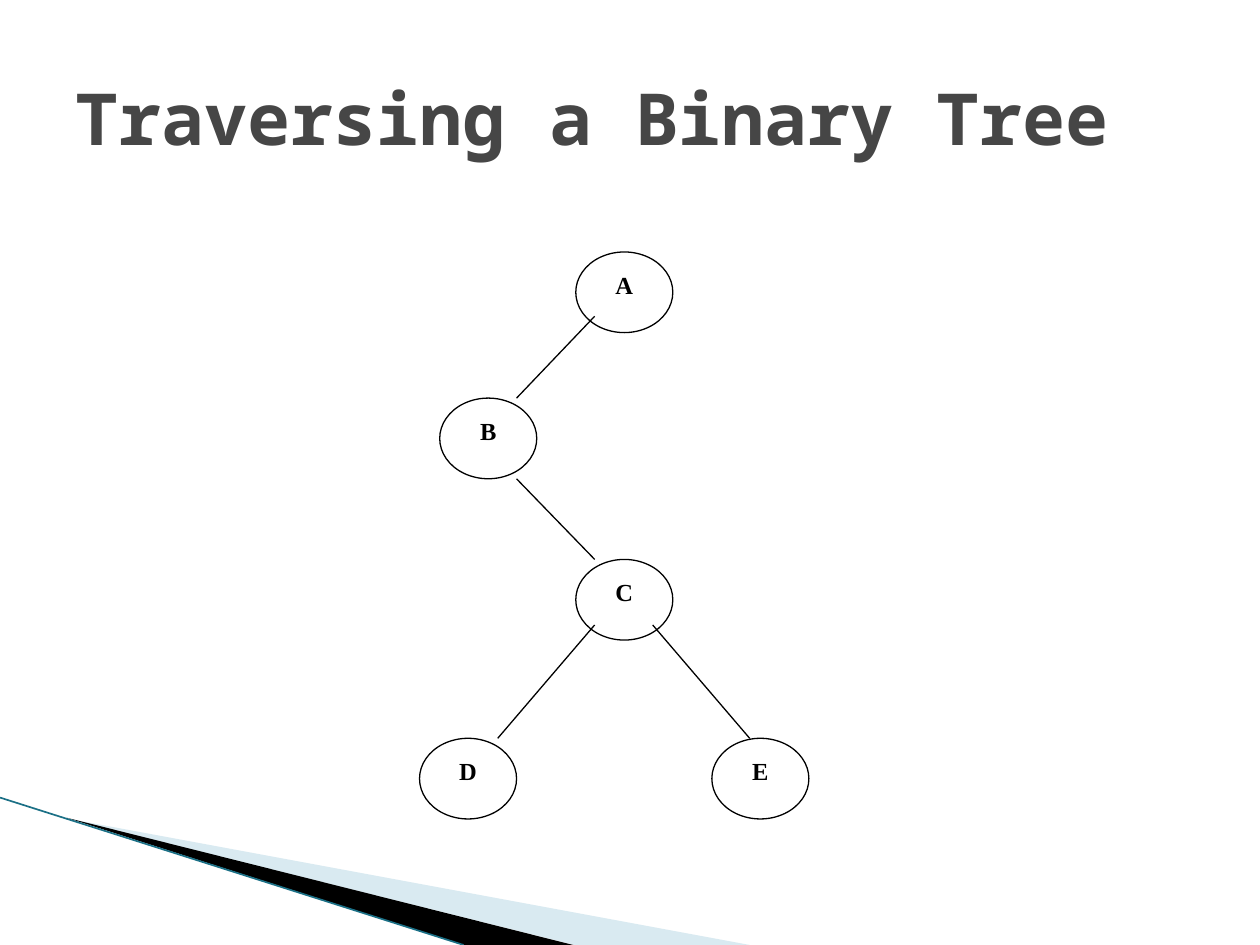
from lxml.etree import SubElement
from pptx import Presentation
from pptx.dml.color import RGBColor
from pptx.enum.shapes import MSO_CONNECTOR, MSO_SHAPE
from pptx.enum.text import MSO_ANCHOR, PP_ALIGN
from pptx.oxml.ns import qn
from pptx.util import Inches, Pt

COLORS = {
    "title": "464646",
    "ink": "000000",
    "paper": "FFFFFF",
    "pale": "A0CBDC",
    "teal": "1B7086",
}


def write_text(shape, text, font, size, color, align, anchor):
    frame = shape.text_frame
    frame.word_wrap = True
    frame.vertical_anchor = anchor
    para = frame.paragraphs[0]
    para.alignment = align
    span = para.add_run()
    span.text = text
    span.font.name = font
    span.font.size = Pt(size)
    span.font.bold = True
    span.font.color.rgb = RGBColor.from_string(COLORS[color])


def draw_line(page, start, end, color, width):
    points = [Inches(value) for value in (*start, *end)]
    line = page.shapes.add_connector(MSO_CONNECTOR.STRAIGHT, *points)
    line.line.color.rgb = RGBColor.from_string(COLORS[color])
    line.line.width = Pt(width)
    SubElement(line._element.spPr, qn("a:effectLst"))


deck = Presentation()
deck.slide_width, deck.slide_height = Inches(10), Inches(7.5)
page = deck.slides.add_slide(deck.slide_layouts[5])

# Corner decoration: pale wedge, black wedge, edge line
wedges = [
    ("pale", 40, [(0.55, 6.5), (5.95, 7.5), (4.56, 7.5)]),
    ("ink", 100, [(0.53, 6.49), (4.55, 7.5), (3.68, 7.5)]),
]
for color, opacity, corners in wedges:
    points = [(Inches(x), Inches(y)) for x, y in corners]
    builder = page.shapes.build_freeform(*points[0])
    builder.add_line_segments(points[1:], close=True)
    wedge = builder.convert_to_shape()
    wedge.shadow.inherit = False
    wedge.line.fill.background()
    wedge.fill.solid()
    wedge.fill.fore_color.rgb = RGBColor.from_string(COLORS[color])
    if opacity < 100:
        tint = wedge._element.spPr.find(".//" + qn("a:srgbClr"))
        SubElement(tint, qn("a:alpha"), val=str(opacity * 1000))
draw_line(page, (0, 6.33), (3.68, 7.5), "teal", 0.95)

# Title
title = page.shapes.title
title.left, title.top = Inches(0.5), Inches(0.3)
title.width, title.height = Inches(9), Inches(1.25)
write_text(title, "Traversing a Binary Tree", font="Noto Sans Mono", size=41,
           color="title", align=PP_ALIGN.LEFT, anchor=MSO_ANCHOR.MIDDLE)

# Tree nodes
nodes = {"A": (4.57, 2), "B": (3.49, 3.16), "C": (4.57, 4.44),
         "D": (3.33, 5.86), "E": (5.65, 5.86)}
for label, (left, top) in nodes.items():
    node = page.shapes.add_shape(MSO_SHAPE.OVAL, Inches(left), Inches(top),
                                 Inches(0.77), Inches(0.64))
    node.shadow.inherit = False
    node.fill.solid()
    node.fill.fore_color.rgb = RGBColor.from_string(COLORS["paper"])
    node.line.color.rgb = RGBColor.from_string(COLORS["ink"])
    node.line.width = Pt(0.75)
    write_text(node, label, font="Times New Roman", size=14, color="ink",
               align=PP_ALIGN.CENTER, anchor=MSO_ANCHOR.TOP)

# Tree branches: A-B, B-C, C-D, C-E
branches = [
    ((4.72, 2.51), (4.1, 3.16)),
    ((4.1, 3.8), (4.72, 4.44)),
    ((4.72, 4.96), (3.95, 5.86)),
    ((5.18, 4.96), (5.95, 5.86)),
]
for start, end in branches:
    draw_line(page, start, end, "ink", 0.75)

deck.save("out.pptx")
